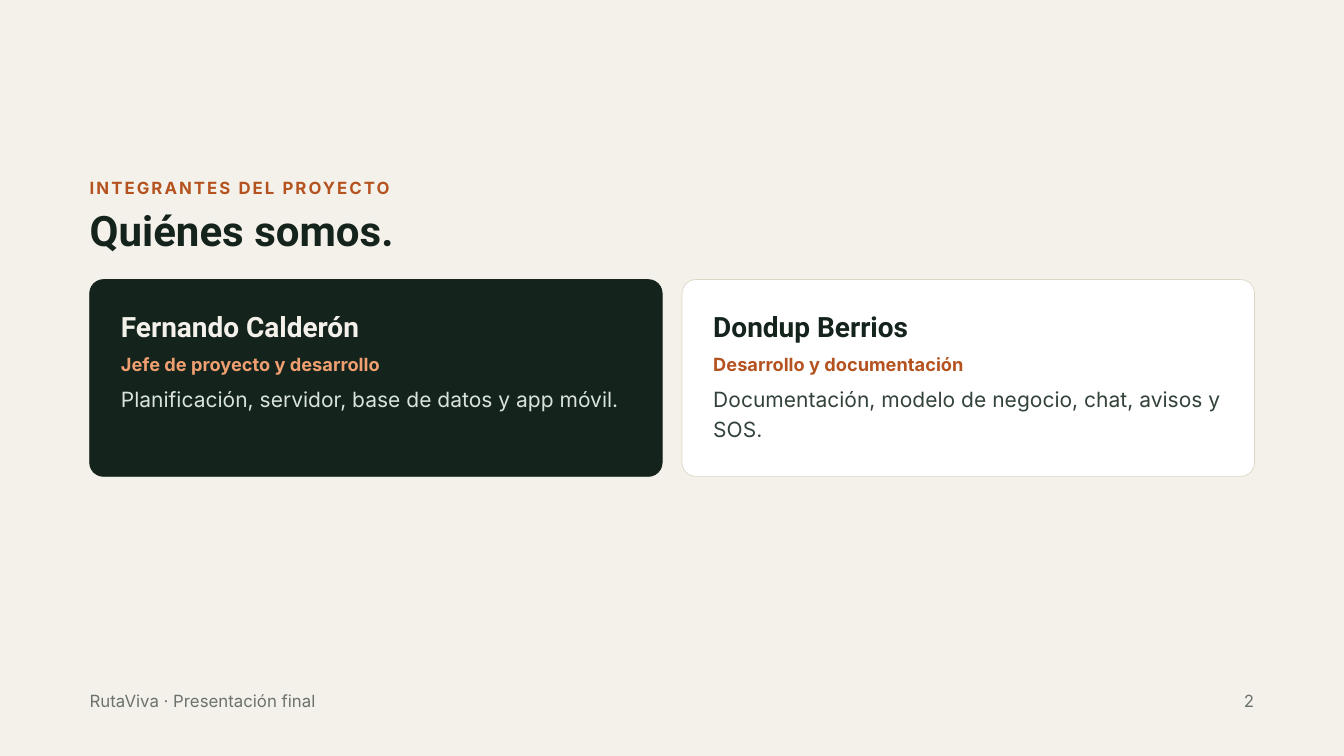
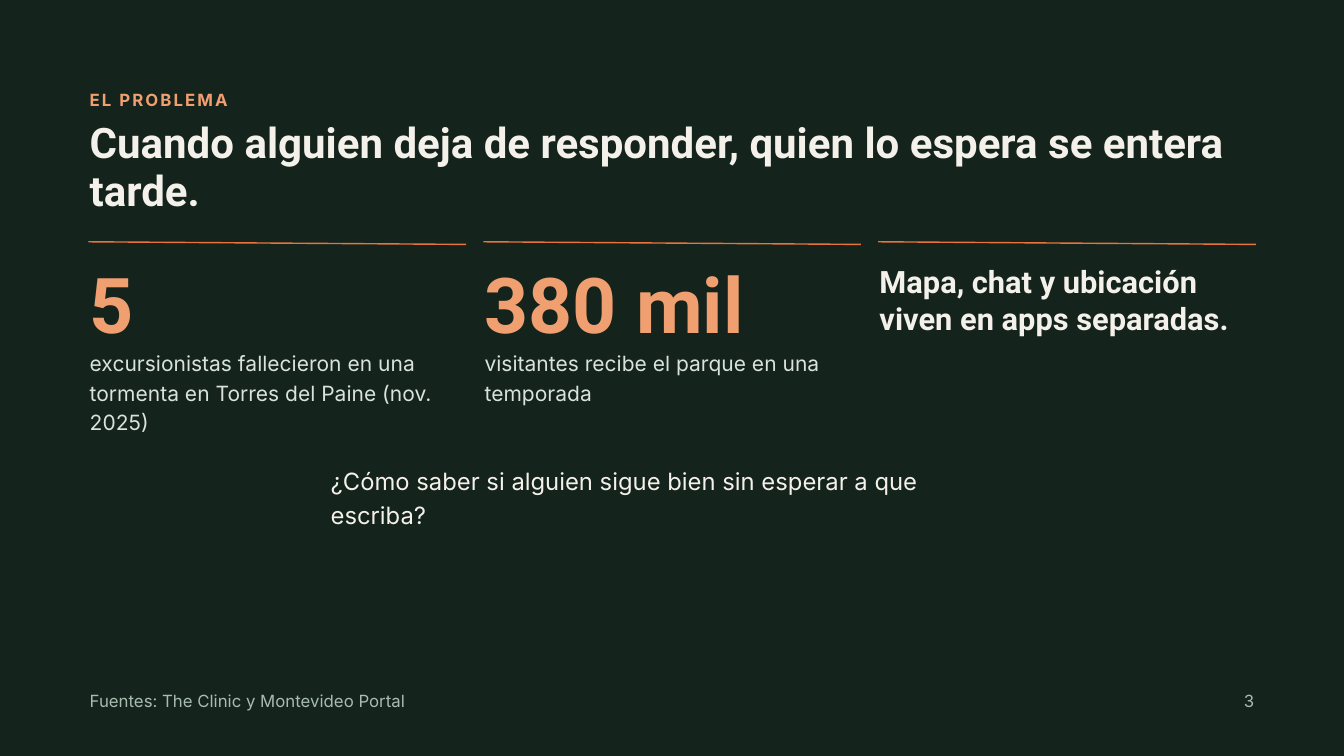
import pptx
import pptx.dml.color
import pptx.enum.shapes
import pptx.enum.text
import pptx.oxml.ns
import pptx.util
from lxml import etree

Cm = pptx.util.Cm
Pt = pptx.util.Pt
RGBColor = pptx.dml.color.RGBColor

CREAM = RGBColor(0xF4, 0xF1, 0xEA)
FOREST = RGBColor(0x14, 0x23, 0x1C)
WHITE = RGBColor(0xFF, 0xFF, 0xFF)
RUST = RGBColor(0xB4, 0x53, 0x1F)
PEACH = RGBColor(0xF0, 0xA0, 0x70)
ORANGE = RGBColor(0xE8, 0x74, 0x3B)
SAND = RGBColor(0xDD, 0xD6, 0xC6)
MIST = RGBColor(0xD9, 0xE3, 0xDC)
MOSS = RGBColor(0x33, 0x43, 0x3A)
GREY = RGBColor(0x6B, 0x72, 0x6C)
SAGE = RGBColor(0xA9, 0xBC, 0xB0)

HEAD, BODY = "Roboto", "Inter"
MARGIN, CONTENT_W, GAP = 3.39, 44.03, 0.75


def columns(n):
    """Return the left edges and the common width of n equal columns."""
    w = (CONTENT_W - GAP * (n - 1)) / n
    return [MARGIN + i * (w + GAP) for i in range(n)], w


def add_text(s, x, y, w, h, text, size, leading, color, font=BODY, bold=False, tracking=0):
    """Add a text box without margins that holds one run."""
    tf = s.shapes.add_textbox(Cm(x), Cm(y), Cm(w), Cm(h)).text_frame
    tf.word_wrap = True
    tf.auto_size = pptx.enum.text.MSO_AUTO_SIZE.SHAPE_TO_FIT_TEXT
    tf.margin_left = tf.margin_top = tf.margin_right = tf.margin_bottom = 0
    p = tf.paragraphs[0]
    p.line_spacing = Pt(leading)
    r = p.add_run()
    r.text = text
    r.font.name = font
    r.font.size = Pt(size)
    r.font.bold = bold
    r.font.color.rgb = color
    if tracking:
        r.font._element.set("spc", str(round(tracking * 100)))


def add_base(prs, background):
    """Add a blank slide with a plain background."""
    s = prs.slides.add_slide(prs.slide_layouts[6])
    s.background.fill.solid()
    s.background.fill.fore_color.rgb = background
    return s


def add_header(s, y, title_h, eyebrow, title, eyebrow_color, title_color):
    """Add the spaced small heading and the title below it."""
    add_text(s, MARGIN, y, 45.34, 0.86, eyebrow, 18, 21.6, eyebrow_color, bold=True, tracking=2.2)
    add_text(s, MARGIN, y + 1.1, 45.34, title_h, title, 45, 51.7, title_color, HEAD, True)


def add_footer(s, text, number, color):
    """Add the footer text and the slide number."""
    for x, w, words in ((MARGIN, 38.15, text), (47.02, 0.61, str(number))):
        add_text(s, x, 26.11, w, 0.86, words, 18, 21.6, color)


def add_member_card(s, x, y, w, h, member, colors):
    """Add a rounded card with a name, a role and the tasks."""
    name, role, tasks = member
    fill, line, name_color, role_color, tasks_color = colors
    sp = s.shapes.add_shape(pptx.enum.shapes.MSO_SHAPE.ROUNDED_RECTANGLE, Cm(x), Cm(y), Cm(w), Cm(h))
    sp.adjustments[0] = 0.07
    sp.shadow.inherit = False
    sp.fill.solid()
    sp.fill.fore_color.rgb = fill
    sp.line.color.rgb = line
    sp.line.width = Pt(0.75)
    left, text_w = x + 1.18, w - 1.8
    add_text(s, left, y + 1.14, text_w, 1.42, name, 30, 36, name_color, HEAD, True)
    add_text(s, left, y + 2.79, text_w, 0.97, role, 19.5, 23.4, role_color, bold=True)
    add_text(s, left, y + 3.89, text_w, 1.35, tasks, 22.5, 31.5, tasks_color)


def add_rule(s, x, y, w):
    """Add the slightly slanted line above a column."""
    c = s.shapes.add_connector(pptx.enum.shapes.MSO_CONNECTOR.STRAIGHT,
                               Cm(x - 0.05), Cm(y), Cm(x + w + 0.05), Cm(y + 0.1))
    c.line.color.rgb = ORANGE
    c.line.width = Pt(1.5)
    etree.SubElement(c._element.spPr, pptx.oxml.ns.qn("a:effectLst"))


def add_figure(s, x, y, w, figure, caption):
    """Add a large figure with its caption."""
    add_text(s, x, y + 0.69, w + 0.22, 3.43, figure, 82.5, 94.9, PEACH, HEAD, True)
    add_text(s, x, y + 3.96, w + 0.22, 2.46, caption, 22.5, 31.5, MIST)


def build_team(prs):
    """Build the slide that presents the team."""
    s = add_base(prs, CREAM)
    add_header(s, 6.73, 1.93, "INTEGRANTES DEL PROYECTO", "Quiénes somos.", RUST, FOREST)
    members = (
        (("Fernando Calderón", "Jefe de proyecto y desarrollo",
          "Planificación, servidor, base de datos y app móvil."),
         (FOREST, FOREST, CREAM, PEACH, MIST)),
        (("Dondup Berrios", "Desarrollo y documentación",
          "Documentación, modelo de negocio, chat, avisos y SOS."),
         (WHITE, SAND, FOREST, RUST, MOSS)),
    )
    lefts, w = columns(len(members))
    for x, (member, colors) in zip(lefts, members):
        add_member_card(s, x, 10.57, w, 7.44, member, colors)
    add_footer(s, "RutaViva · Presentación final", 2, GREY)


def build_problem(prs):
    """Build the slide that states the problem."""
    s = add_base(prs, FOREST)
    add_header(s, 3.38, 3.76, "EL PROBLEMA",
               "Cuando alguien deja de responder, quien lo espera se entera tarde.", PEACH, CREAM)
    y = 9.14
    lefts, w = columns(3)
    for x in lefts:
        add_rule(s, x, y, w)
    figures = (
        ("5", "excursionistas fallecieron en una tormenta en Torres del Paine (nov. 2025)"),
        ("380 mil", "visitantes recibe el parque en una temporada"),
    )
    for x, (figure, caption) in zip(lefts, figures):
        add_figure(s, x, y, w, figure, caption)
    add_text(s, lefts[2], y + 0.79, w + 0.42, 2.97,
             "Mapa, chat y ubicación viven en apps separadas.", 33, 39.6, CREAM, HEAD, True)
    add_text(s, 12.5, 17.48, 25.81, 1.19,
             "¿Cómo saber si alguien sigue bien sin esperar a que escriba?", 25.5, 35.7, CREAM)
    add_footer(s, "Fuentes: The Clinic y Montevideo Portal", 3, SAGE)


def main():
    """Build and save the presentation."""
    prs = pptx.Presentation()
    prs.slide_width, prs.slide_height = Cm(50.8), Cm(28.58)
    build_team(prs)
    build_problem(prs)
    prs.save("out.pptx")


if __name__ == "__main__":
    main()
